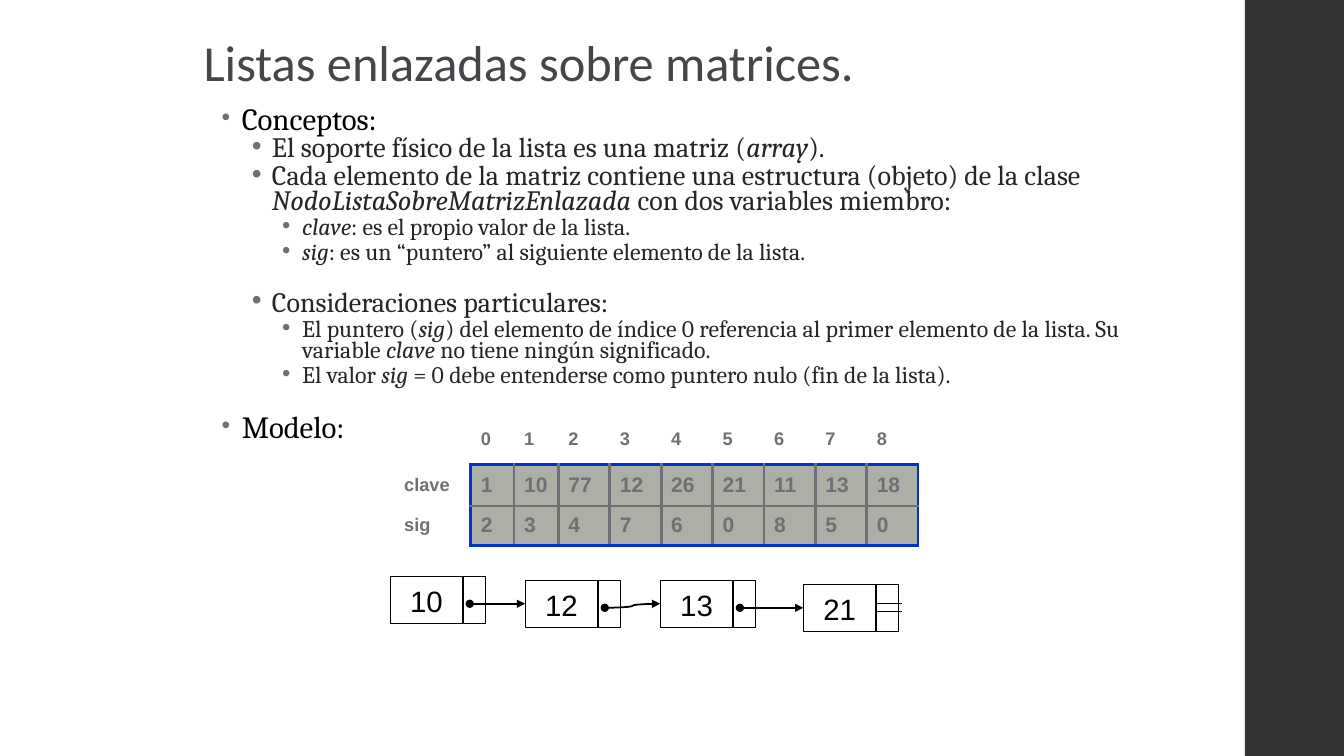
"""Slide on linked lists stored in arrays."""
from dataclasses import dataclass

from lxml import etree
from pptx import Presentation, util as u
from pptx.dml.color import RGBColor
from pptx.enum import shapes, text
from pptx.oxml import ns

COLUMNS, ROWS = 160, 90
UNIT = u.Inches(1 / 12)  # side of one square of the slide grid


@dataclass(frozen=True)
class Theme:
    """Colours, fonts and type sizes."""
    ink: str = "000000"
    body: str = "262626"
    title: str = "46464A"
    grey: str = "6F6F74"
    band: str = "353537"
    cell: str = "ABAFA5"
    frame: str = "0033CC"
    title_font: str = "Calibri"
    body_font: str = "Cambria"
    model_font: str = "Arial"
    title_size: int = 36
    level_sizes: tuple = (22, 20, 17)
    node_size: int = 21
    label_size: int = 13
    value_size: int = 15
    thin: float = 0.75
    arrow: float = 1.25
    border: float = 2.25


@dataclass(frozen=True)
class Point:
    """One outline paragraph; asterisks enclose italics, gap is in points."""
    level: int
    words: str
    gap: float = 0


@dataclass(frozen=True)
class Node:
    """A list node, placed in grid columns and rows."""
    key: str
    left: float
    top: float


THEME = Theme()
KEY_WIDTH, POINTER_OFFSET, POINTER_WIDTH, NODE_HEIGHT = 8.64, 8.7, 2.64, 5.64
OUTLINE = (
    Point(0, "Conceptos:"),
    Point(1, "El soporte físico de la lista es una matriz (*array*)."),
    Point(1, "Cada elemento de la matriz contiene una estructura (objeto) de la clase "
             "*NodoListaSobreMatrizEnlazada* con dos variables miembro:"),
    Point(2, "*clave*: es el propio valor de la lista."),
    Point(2, "*sig*: es un “puntero” al siguiente elemento de la lista."),
    Point(1, "Consideraciones particulares:", 17.3),
    Point(2, "El puntero (*sig*) del elemento de índice 0 referencia al primer elemento "
             "de la lista. Su variable *clave* no tiene ningún significado."),
    Point(2, "El valor *sig* = 0 debe entenderse como puntero nulo (fin de la lista)."),
    Point(0, "Modelo:", 18.2),
)
MATRIX = (
    ("", *map(str, range(9))),
    ("clave", "1", "10", "77", "12", "26", "21", "11", "13", "18"),
    ("sig", "2", "3", "4", "7", "6", "0", "8", "5", "0"),
)
MATRIX_COLUMNS = (9.12, 5.16, 5.28) + (6.12,) * 7
MATRIX_ROWS = (6.12, 4.92, 4.68)
NODES = (Node("10", 46.44, 68.64), Node("12", 62.52, 69.12),
         Node("13", 78.6, 69.12), Node("21", 95.64, 69.6))


def grid(*lengths: float) -> list:
    """Turn grid lengths into slide lengths."""
    return [u.Emu(round(length * UNIT)) for length in lengths]


def apply(target, **values) -> None:
    """Set attributes from a dict of format values."""
    for name, value in values.items():
        setattr(target, name, value)


def add_xml(parent, tag: str, **attributes: str):
    """Append a drawing element and return it."""
    return etree.SubElement(parent, ns.qn(f"a:{tag}"), attributes)


def write(para, words: str, font: str, size: float, color: str, **style) -> None:
    """Add a span of text with its font."""
    span = para.add_run()
    span.text = words
    apply(span.font, name=font, size=u.Pt(size), **style)
    span.font.color.rgb = RGBColor.from_string(color)


def add_title(page) -> None:
    """Draw the slide title."""
    frame = page.shapes.add_textbox(*grid(24.24, 4.32, 112.44, 6.6)).text_frame
    apply(frame, word_wrap=True, vertical_anchor=text.MSO_ANCHOR.BOTTOM, margin_left=0,
          margin_top=u.Inches(0.05), margin_right=0, margin_bottom=0)
    write(frame.paragraphs[0], "Listas enlazadas sobre matrices.",
          THEME.title_font, THEME.title_size, THEME.title)


def add_outline(page) -> None:
    """Draw the bulleted outline."""
    frame = page.shapes.add_textbox(*grid(25.2, 12.36, 111, 43.92)).text_frame
    frame.word_wrap = True
    for index, point in enumerate(OUTLINE):
        para = frame.add_paragraph() if index else frame.paragraphs[0]
        top_level = point.level == 0
        apply(para, level=point.level, line_spacing=0.72, space_before=u.Pt(point.gap),
              space_after=u.Pt(2 if top_level else 3))
        props = para._p.get_or_add_pPr()
        props.set("marL", str(u.Inches(0.2 + 0.3 * point.level)))
        props.set("indent", str(-u.Inches(0.2)))
        add_xml(add_xml(props, "buClr"), "srgbClr", val=THEME.grey)
        add_xml(props, "buSzPct", val="80000" if top_level else "100000")
        add_xml(props, "buFont", typeface=THEME.model_font)
        add_xml(props, "buChar", char="•")
        for part, words in enumerate(point.words.split("*")):
            if words:
                write(para, words, THEME.body_font, THEME.level_sizes[point.level],
                      THEME.ink if top_level else THEME.body, italic=part % 2 == 1)


def add_border(cell, side: str, color: str) -> None:
    """Draw one side of a table cell."""
    line = add_xml(cell._tc.get_or_add_tcPr(), f"ln{side}", w=str(u.Pt(THEME.border)))
    add_xml(add_xml(line, "solidFill"), "srgbClr", val=color)


def add_matrix(page) -> None:
    """Draw the array with its indices and row labels."""
    rows, columns = len(MATRIX), len(MATRIX[0])
    place = grid(46.92, 49.2, sum(MATRIX_COLUMNS), sum(MATRIX_ROWS))
    table = page.shapes.add_table(rows, columns, *place).table
    apply(table, first_row=False, horz_banding=False)
    style = table._tbl.tblPr.find(ns.qn("a:tableStyleId"))
    style.text = "{2D5ABB26-0587-4C30-8999-92F81FD0307C}"
    for column, width in zip(table.columns, grid(*MATRIX_COLUMNS)):
        column.width = width
    for row, height in zip(table.rows, grid(*MATRIX_ROWS)):
        row.height = height
    for r, values in enumerate(MATRIX):
        for c, value in enumerate(values):
            cell = table.cell(r, c)
            cell.vertical_anchor = text.MSO_ANCHOR.MIDDLE
            inside = r > 0 and c > 0
            if inside:
                outer = {"L": c == 1, "R": c == columns - 1, "T": r == 1, "B": r == rows - 1}
                for side, is_outer in outer.items():
                    add_border(cell, side, THEME.frame if is_outer else THEME.grey)
                cell.fill.solid()
                cell.fill.fore_color.rgb = RGBColor.from_string(THEME.cell)
            else:
                cell.fill.background()
            if value:
                write(cell.text_frame.paragraphs[0], value, THEME.model_font,
                      THEME.value_size if inside else THEME.label_size, THEME.grey, bold=True)


def add_box(page, left: float, top: float, width: float, height: float):
    """Draw an unfilled, thinly outlined rectangle."""
    box = page.shapes.add_shape(shapes.MSO_SHAPE.RECTANGLE, *grid(left, top, width, height))
    box.shadow.inherit = False
    box.fill.background()
    box.line.color.rgb = RGBColor.from_string(THEME.ink)
    box.line.width = u.Pt(THEME.thin)
    return box


def add_line(page, ends: tuple, weight: float, curved: bool = False, arrow: bool = False) -> None:
    """Draw a line between grid points, as a pointer arrow if asked."""
    kind = shapes.MSO_CONNECTOR.CURVE if curved else shapes.MSO_CONNECTOR.STRAIGHT
    line = page.shapes.add_connector(kind, *grid(*ends))
    line.line.color.rgb = RGBColor.from_string(THEME.ink)
    line.line.width = u.Pt(weight)
    if arrow:
        outline = line.line._get_or_add_ln()
        add_xml(outline, "headEnd", type="oval")
        add_xml(outline, "tailEnd", type="triangle")
    add_xml(line._element.spPr, "effectLst")


def add_node(page, node: Node) -> None:
    """Draw a node: its key and its pointer field."""
    box = add_box(page, node.left, node.top, KEY_WIDTH, NODE_HEIGHT)
    apply(box.text_frame, margin_top=0, margin_bottom=0,
          vertical_anchor=text.MSO_ANCHOR.MIDDLE)
    para = box.text_frame.paragraphs[0]
    para.alignment = text.PP_ALIGN.CENTER
    write(para, node.key, THEME.model_font, THEME.node_size, THEME.ink)
    add_box(page, node.left + POINTER_OFFSET, node.top, POINTER_WIDTH, NODE_HEIGHT)


def add_linked_list(page) -> None:
    """Draw the nodes, the pointers between them and the null mark."""
    for node in NODES:
        add_node(page, node)
    for source, target in zip(NODES, NODES[1:]):
        ends = (source.left + 9.48, source.top + 3.24, target.left, target.top + 2.76)
        add_line(page, ends, THEME.arrow, curved=source.top == target.top, arrow=True)
    last = NODES[-1]
    for drop in (2.28, 3.24):
        y = last.top + drop
        add_line(page, (last.left + 8.52, y, last.left + 11.76, y), THEME.thin)


deck = Presentation()
deck.slide_width, deck.slide_height = grid(COLUMNS, ROWS)
page = deck.slides.add_slide(deck.slide_layouts[6])
band = add_box(page, 148.2, 0, COLUMNS - 148.2, ROWS)
band.fill.solid()
band.fill.fore_color.rgb = RGBColor.from_string(THEME.band)
band.line.fill.background()
add_outline(page)
add_title(page)
add_linked_list(page)
add_matrix(page)
deck.save("out.pptx")
